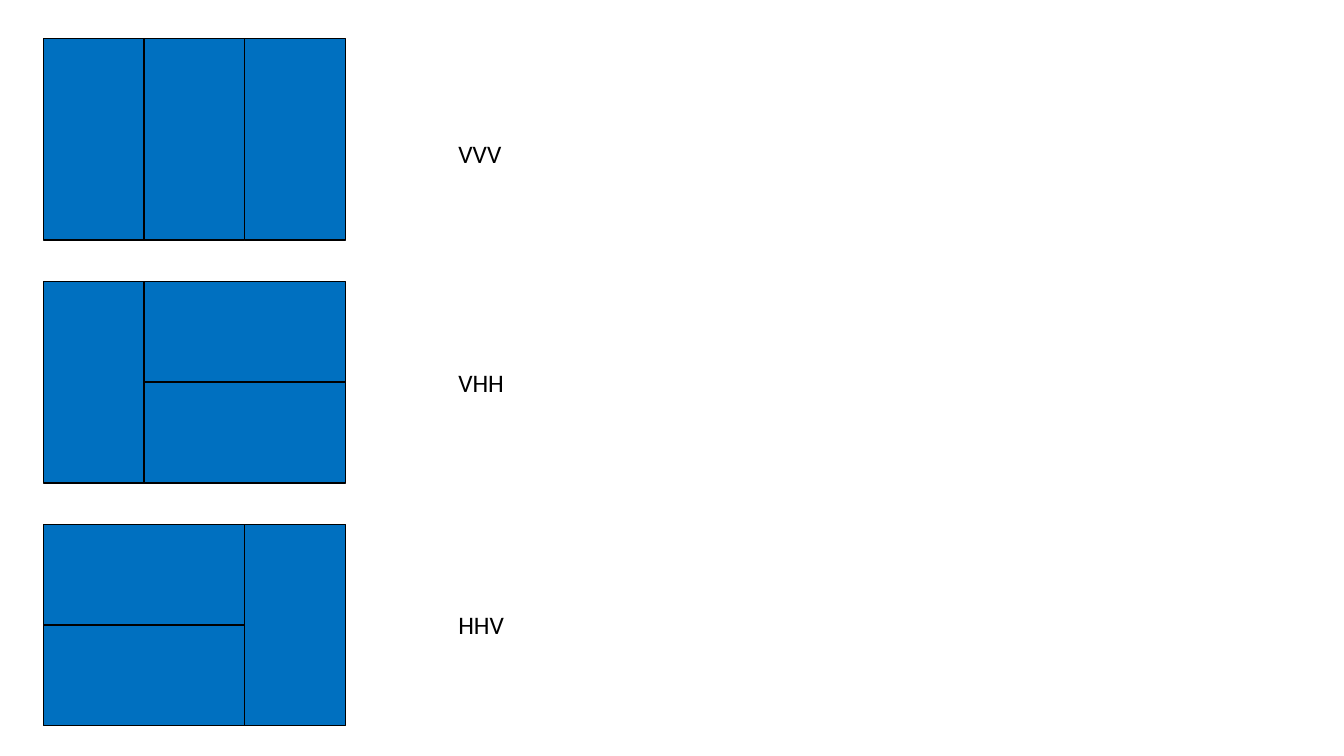
from pptx import Presentation
from pptx import util as u
from pptx.dml.color import RGBColor
from pptx.enum import shapes, text

COLORS = {"domino": "0070C0", "ink": "000000"}
TILINGS = [("VVV", 3.35), ("VHH", 9.12), ("HHV", 15.24)]
UNIT = 2.54
BOARD_LEFT, BOARD_TOP, BOARD_PITCH = 1.09, 0.97, 6.12
LABEL_LEFT, LABEL_WIDTH, LABEL_HEIGHT = 11.3, 1.66, 1.02
LABEL_FONT = {"name": "Calibri", "size": u.Pt(18)}
LABEL_FRAME = {"word_wrap": False, "auto_size": text.MSO_AUTO_SIZE.SHAPE_TO_FIT_TEXT}


def color(name):
    return RGBColor.from_string(COLORS[name])


def set_format(target, values):
    for name, value in values.items():
        setattr(target, name, value)


def domino_places(tiling):
    column = row = 0
    for letter in tiling:
        if letter == "V":
            yield column, 0, 0
            column += 1
        else:
            yield column + 0.5, row - 0.5, 90
            column += 2 * row
            row = 1 - row


def add_board(slide, tiling, top):
    board = slide.shapes.add_group_shape()
    for column, row, rotation in domino_places(tiling):
        domino = board.shapes.add_shape(
            shapes.MSO_SHAPE.RECTANGLE,
            u.Cm(BOARD_LEFT + column * UNIT), u.Cm(top + row * UNIT),
            u.Cm(UNIT), u.Cm(2 * UNIT))
        domino.rotation = rotation
        domino.shadow.inherit = False
        domino.fill.solid()
        domino.fill.fore_color.rgb = color("domino")
        domino.line.color.rgb = color("ink")
        domino.line.width = u.Pt(1)


def add_label(slide, wording, top):
    label = slide.shapes.add_textbox(
        u.Cm(LABEL_LEFT), u.Cm(top), u.Cm(LABEL_WIDTH), u.Cm(LABEL_HEIGHT))
    set_format(label.text_frame, LABEL_FRAME)
    run = label.text_frame.paragraphs[0].add_run()
    run.text = wording
    set_format(run.font, LABEL_FONT)
    run.font.color.rgb = color("ink")


def main():
    presentation = Presentation()
    presentation.slide_width = u.Cm(33.87)
    presentation.slide_height = u.Cm(19.05)
    slide = presentation.slides.add_slide(presentation.slide_layouts[6])
    for index, (tiling, label_top) in enumerate(TILINGS):
        add_board(slide, tiling, BOARD_TOP + index * BOARD_PITCH)
        add_label(slide, tiling, label_top)
    presentation.save("out.pptx")


if __name__ == "__main__":
    main()
